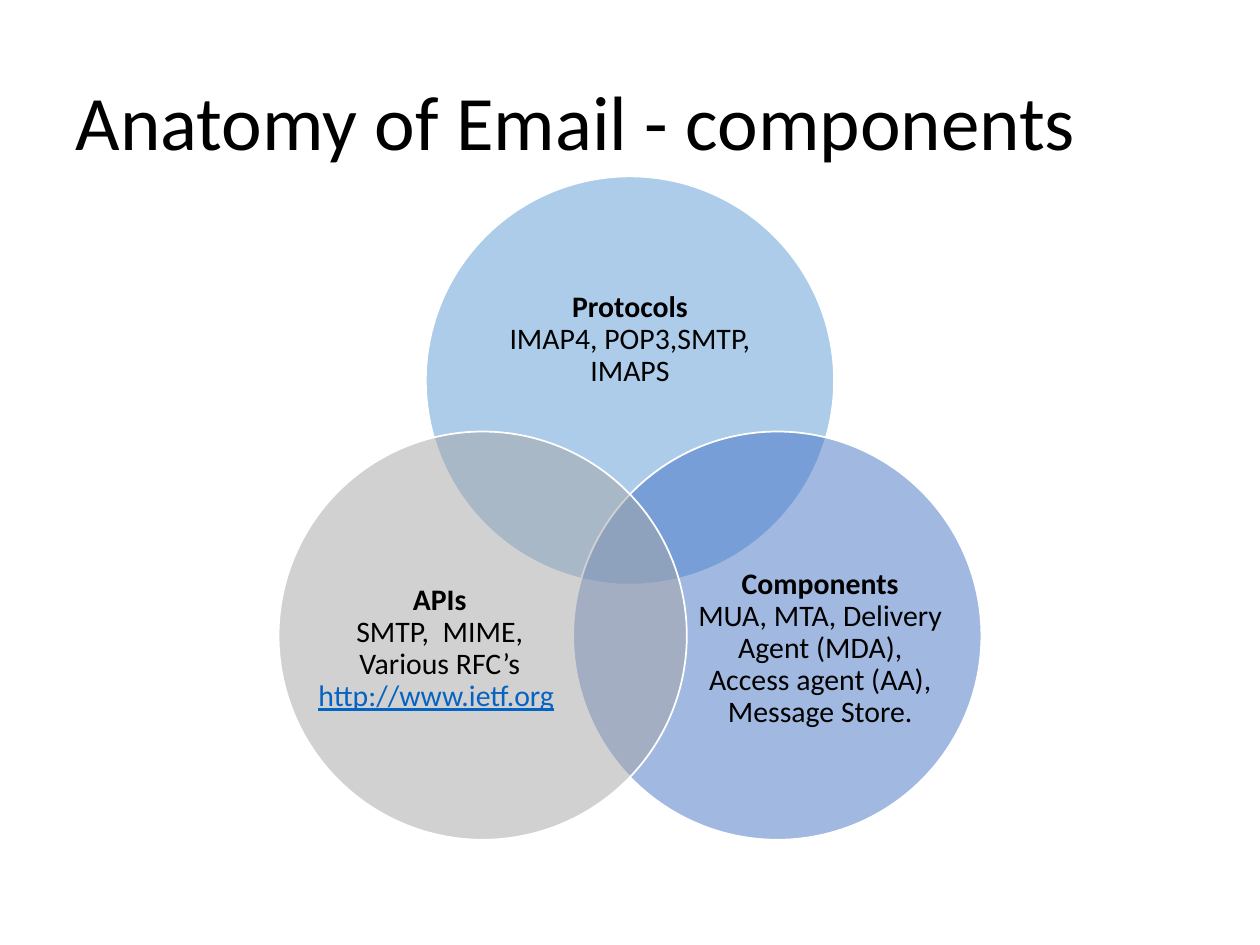
"""Build a slide with a three-circle Venn diagram of email anatomy."""
import math
from dataclasses import dataclass

from lxml import etree
from pptx import Presentation, util as u
from pptx.dml.color import RGBColor
from pptx.enum import shapes, text
from pptx.oxml.ns import qn

COLORS = {
    "text": "000000",
    "outline": "FFFFFF",
    "link": "0563C1",
    "protocols": "5B9BD5",
    "components": "4472C4",
    "apis": "A5A5A5",
}
FONT = "Calibri"
CENTER_X, CENTER_Y = 5, 4.37
RING_RADIUS = 1.35
DIAMETER = 3.24


@dataclass
class TextRun:
    words: str
    color: str = "text"
    bold: bool = False
    underline: bool = False


@dataclass
class Circle:
    color: str
    angle: float
    heading: str
    body: list[TextRun]
    label_box: tuple[float, float, float, float]


CIRCLES = [
    Circle("protocols", -90, "Protocols", [TextRun("IMAP4, POP3,SMTP, IMAPS")],
           (3.81, 1.97, 2.38, 1.46)),
    Circle("components", 30, "Components",
           [TextRun("MUA, MTA, Delivery Agent (MDA), Access agent (AA), Message Store.")],
           (5.54, 4.26, 1.94, 1.78)),
    Circle("apis", 150, "APIs",
           [TextRun("SMTP,  MIME, Various RFC’s "),
            TextRun("http://www.ietf.org", "link", underline=True),
            TextRun(" ")],
           (2.52, 4.26, 1.94, 1.78)),
]


def rgb(name: str) -> RGBColor:
    return RGBColor.from_string(COLORS[name])


def add_run(paragraph, item: TextRun, size: float) -> None:
    run = paragraph.add_run()
    run.text = item.words
    run.font.name = FONT
    run.font.size = u.Pt(size)
    run.font.bold = item.bold
    run.font.underline = item.underline
    run.font.color.rgb = rgb(item.color)


def add_title(slide, words: str) -> None:
    title = slide.shapes.title
    title.left, title.top = u.Inches(0.5), u.Inches(0.58)
    title.width, title.height = u.Inches(9), u.Inches(0.83)
    frame = title.text_frame
    frame.auto_size = text.MSO_AUTO_SIZE.NONE
    frame.vertical_anchor = text.MSO_ANCHOR.MIDDLE
    paragraph = frame.paragraphs[0]
    paragraph.alignment = text.PP_ALIGN.LEFT
    paragraph.line_spacing = 0.9
    add_run(paragraph, TextRun(words), 44)


def add_circle(slide, circle: Circle) -> None:
    angle = math.radians(circle.angle)
    left = CENTER_X + RING_RADIUS * math.cos(angle) - DIAMETER / 2
    top = CENTER_Y + RING_RADIUS * math.sin(angle) - DIAMETER / 2
    shape = slide.shapes.add_shape(
        shapes.MSO_SHAPE.OVAL, u.Inches(left), u.Inches(top),
        u.Inches(DIAMETER), u.Inches(DIAMETER))
    shape.shadow.inherit = False
    shape.fill.solid()
    shape.fill.fore_color.rgb = rgb(circle.color)
    fill_color = shape._element.spPr.find(qn("a:solidFill"))[0]
    etree.SubElement(fill_color, qn("a:alpha")).set("val", "50000")
    shape.line.color.rgb = rgb("outline")
    shape.line.width = u.Pt(1)


def add_label(slide, circle: Circle) -> None:
    box = slide.shapes.add_textbox(*(u.Inches(length) for length in circle.label_box))
    frame = box.text_frame
    frame.word_wrap = True
    frame.vertical_anchor = text.MSO_ANCHOR.MIDDLE
    frame.margin_left = frame.margin_right = frame.margin_top = frame.margin_bottom = 0
    paragraph = frame.paragraphs[0]
    paragraph.alignment = text.PP_ALIGN.CENTER
    paragraph.line_spacing = 0.9
    add_run(paragraph, TextRun(circle.heading, bold=True), 17)
    paragraph.add_line_break()
    for item in circle.body:
        add_run(paragraph, item, 17)


def main() -> None:
    presentation = Presentation()
    presentation.slide_width, presentation.slide_height = u.Inches(10), u.Inches(7.5)
    slide = presentation.slides.add_slide(presentation.slide_layouts[5])
    add_title(slide, "Anatomy of Email - components")
    for circle in CIRCLES:
        add_circle(slide, circle)
        add_label(slide, circle)
    presentation.save("out.pptx")


if __name__ == "__main__":
    main()
